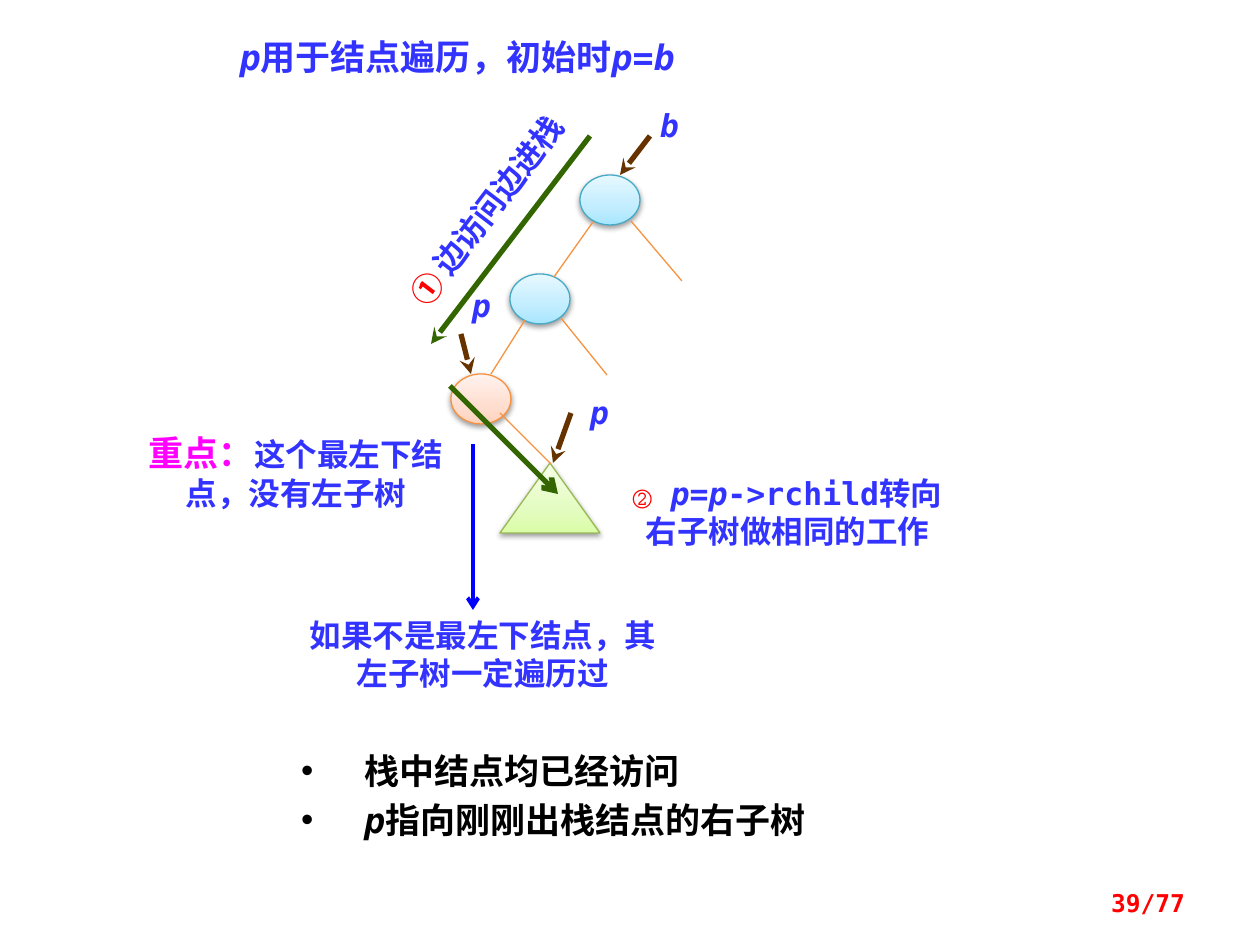
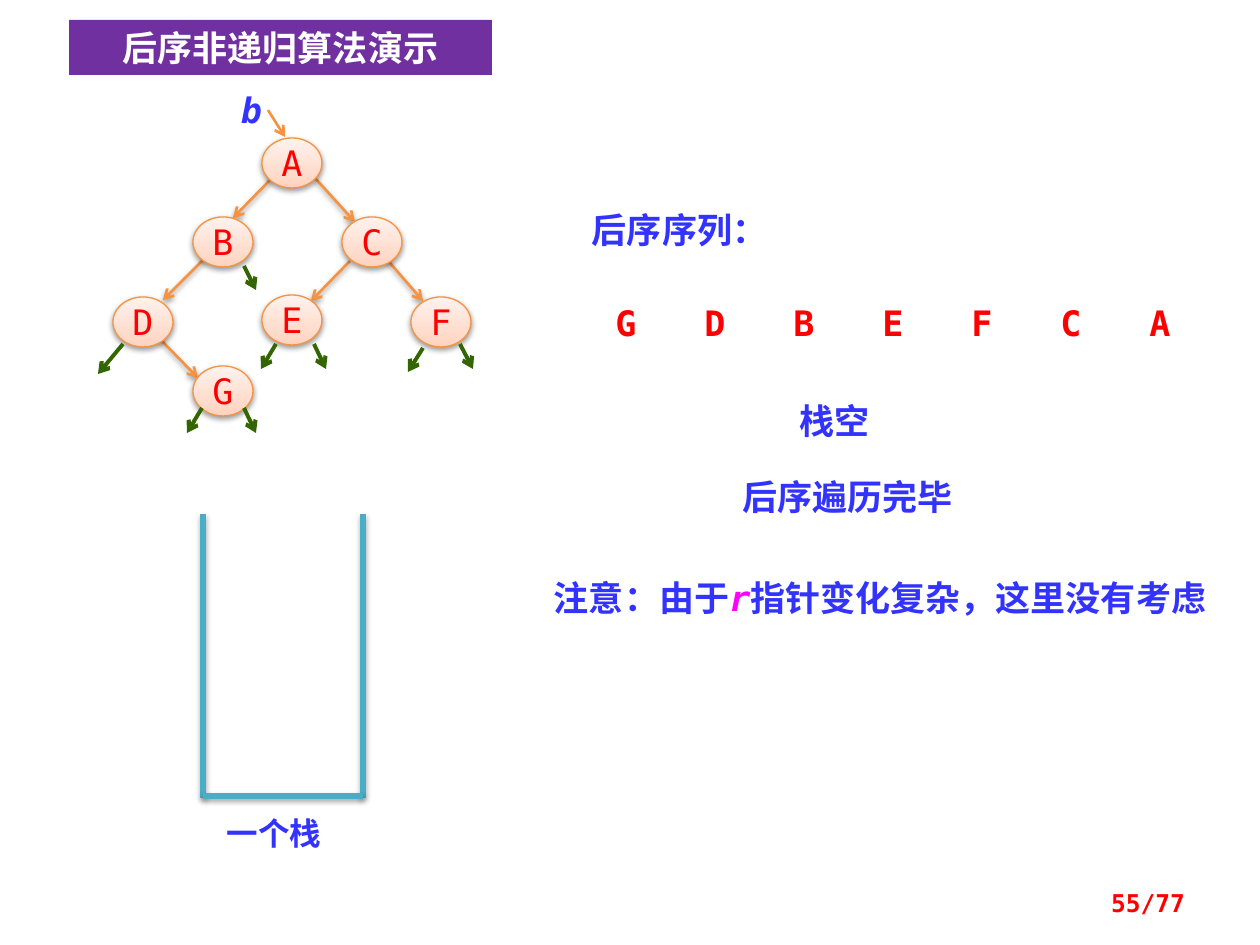
import lxml.etree
import pptx
import pptx.dml.color
import pptx.enum.shapes
import pptx.enum.text
import pptx.oxml.ns
import pptx.util

PX = pptx.util.Inches(1) // 126
MONO, CJK = "DejaVu Sans Mono", "Noto Sans CJK SC"
BLUE, RED, MAGENTA, WHITE, BLACK = "3333FF", "FF0000", "FF00FF", "FFFFFF", "000000"
GREEN, BROWN, ORANGE, TEAL = "336600", "663300", "F69240", "4BACC6"
PEACH = ("FFD2BD", "FFDED0", "FFF2ED")
SKY = ("A7E6FF", "C1EDFF", "E7F8FF")
LIME = ("DAFDA7", "E4FCC2", "F5FFE7")
VARIABLES = ("p", "b", "r")
ACCENTS = {"重点：": (MAGENTA, 20), "① ": (RED, 18), "② ": (RED, 18), "r": (MAGENTA, 20)}

ALIGN = pptx.enum.text.PP_ALIGN
ANCHOR = pptx.enum.text.MSO_ANCHOR
SHAPE = pptx.enum.shapes.MSO_SHAPE
STRAIGHT = pptx.enum.shapes.MSO_CONNECTOR.STRAIGHT
color = pptx.dml.color.RGBColor.from_string
qn = pptx.oxml.ns.qn


def write(paragraph, pieces, size, hex_color, align=ALIGN.CENTER, bold=True):
    """Fill a paragraph; variable names turn italic and accents get their own colour."""
    paragraph.alignment = align
    paragraph.space_before = pptx.util.Pt(0)
    font = paragraph.font
    font.name, font.size, font.bold = MONO, pptx.util.Pt(size), bold
    font.color.rgb = color(hex_color)
    lxml.etree.SubElement(font._element, qn("a:ea"), typeface=CJK)
    for piece in pieces:
        run = paragraph.add_run()
        run.text = piece
        if piece in VARIABLES:
            run.font.italic = True
        if piece in ACCENTS:
            accent_color, accent_size = ACCENTS[piece]
            run.font.color.rgb = color(accent_color)
            run.font.size = pptx.util.Pt(accent_size)


def draw_line(slide, ends, hex_color, width, arrow=None):
    connector = slide.shapes.add_connector(STRAIGHT, *[value * PX for value in ends])
    connector.line.color.rgb = color(hex_color)
    connector.line.width = pptx.util.Pt(width)
    properties = connector._element.spPr
    if arrow:
        lxml.etree.SubElement(properties.find(qn("a:ln")), qn("a:tailEnd"), type=arrow)
    lxml.etree.SubElement(properties, qn("a:effectLst"))
    return connector


presentation = pptx.Presentation()
presentation.slide_width, presentation.slide_height = 1260 * PX, 945 * PX
stack_slide = presentation.slides.add_slide(presentation.slide_layouts[1])
demo_slide = presentation.slides.add_slide(presentation.slide_layouts[5])
shadowed = []

# Titles
for slide, box, pieces, hex_color, align in (
    (stack_slide, (227, 29, 566, 55), ("p", "用于结点遍历，初始时", "p", "=", "b"), BLUE, ALIGN.LEFT),
    (demo_slide, (69, 20, 423, 55), ("后序非递归算法演示",), WHITE, ALIGN.CENTER),
):
    title = slide.shapes.title
    title.left, title.top, title.width, title.height = [value * PX for value in box]
    title.text_frame.auto_size = pptx.enum.text.MSO_AUTO_SIZE.NONE
    title.text_frame.vertical_anchor = ANCHOR.TOP
    write(title.text_frame.paragraphs[0], pieces, 20, hex_color, align)
demo_slide.shapes.title.fill.solid()
demo_slide.shapes.title.fill.fore_color.rgb = color("7030A0")

# List of stack facts
body = stack_slide.placeholders[1]
body.left, body.top, body.width, body.height = [value * PX for value in (276, 728, 610, 129)]
body.fill.solid()
body.fill.fore_color.rgb = color(WHITE)
frame = body.text_frame
frame.auto_size = pptx.enum.text.MSO_AUTO_SIZE.NONE
frame.margin_left, frame.margin_right = 25 * PX, 13 * PX
frame.margin_top = frame.margin_bottom = 15 * PX
for index, pieces in enumerate((("栈中结点均已经访问",), ("p", "指向刚刚出栈结点的右子树"))):
    paragraph = frame.add_paragraph() if index else frame.paragraphs[0]
    paragraph.line_spacing = pptx.util.Pt(28)
    properties = paragraph._p.get_or_add_pPr()
    properties.set("marL", str(63 * PX))
    properties.set("indent", str(-63 * PX))
    lxml.etree.SubElement(properties, qn("a:buChar"), char="•")
    write(paragraph, pieces, 20, BLACK, ALIGN.LEFT)

# Links between the nodes of the demo tree lie behind them
for ends in (
    (159, 338, 198, 378), (272, 178, 233, 218), (315, 178, 355, 222),
    (207, 256, 163, 300), (350, 261, 311, 301), (384, 256, 423, 301),
):
    shadowed.append(draw_line(demo_slide, ends, ORANGE, 1.5, "arrow"))

# Tree nodes
for slide, kind, box, stops, outline, letter in (
    (stack_slide, SHAPE.OVAL, (580, 175, 60, 50), SKY, "46AAC5", ""),
    (stack_slide, SHAPE.OVAL, (510, 274, 60, 50), SKY, "46AAC5", ""),
    (stack_slide, SHAPE.OVAL, (451, 374, 60, 50), PEACH, ORANGE, ""),
    (stack_slide, SHAPE.ISOSCELES_TRIANGLE, (500, 463, 100, 70), LIME, "98B955", ""),
    (demo_slide, SHAPE.OVAL, (262, 138, 60, 50), PEACH, ORANGE, "A"),
    (demo_slide, SHAPE.OVAL, (193, 217, 60, 50), PEACH, ORANGE, "B"),
    (demo_slide, SHAPE.OVAL, (342, 217, 60, 50), PEACH, ORANGE, "C"),
    (demo_slide, SHAPE.OVAL, (113, 297, 60, 50), PEACH, ORANGE, "D"),
    (demo_slide, SHAPE.OVAL, (262, 295, 60, 50), PEACH, ORANGE, "E"),
    (demo_slide, SHAPE.OVAL, (411, 297, 60, 50), PEACH, ORANGE, "F"),
    (demo_slide, SHAPE.OVAL, (193, 366, 60, 50), PEACH, ORANGE, "G"),
):
    node = slide.shapes.add_shape(kind, *[value * PX for value in box])
    node.fill.gradient()
    node.fill.gradient_angle = 90
    stop_list = node._element.spPr.find(qn("a:gradFill")).find(qn("a:gsLst"))
    for stop in list(stop_list):
        stop_list.remove(stop)
    for position, stop_color in zip((0, 35000, 100000), stops):
        stop = lxml.etree.SubElement(stop_list, qn("a:gs"), pos=str(position))
        lxml.etree.SubElement(stop, qn("a:srgbClr"), val=stop_color)
    node.line.color.rgb = color(outline)
    node.line.width = pptx.util.Pt(0.75)
    node.shadow.inherit = False
    shadowed.append(node)
    if letter:
        node.text_frame.word_wrap = False
        node.text_frame.vertical_anchor = ANCHOR.MIDDLE
        write(node.text_frame.paragraphs[0], (letter,), 20, RED, bold=False)

# Branches and pointers of the stack slide
for ends in (
    (593, 222, 554, 277), (525, 320, 491, 374), (631, 221, 682, 281),
    (500, 413, 551, 464), (561, 318, 607, 375),
):
    draw_line(stack_slide, ends, ORANGE, 0.75)
for ends in ((650, 136, 620, 175), (461, 334, 471, 374), (571, 413, 553, 463)):
    draw_line(stack_slide, ends, BROWN, 3, "stealth")
draw_line(stack_slide, (590, 136, 431, 344), GREEN, 3, "stealth")
draw_line(stack_slide, (450, 386, 558, 494), GREEN, 3, "arrow")
draw_line(stack_slide, (473, 444, 473, 610), "0000FF", 2.25, "arrow")

# Empty subtrees, root pointer and stack of the demo slide
for ends in (
    (244, 408, 256, 433), (202, 408, 187, 433), (314, 344, 326, 369), (276, 344, 261, 369),
    (460, 344, 473, 369), (423, 348, 408, 372), (123, 344, 98, 374), (244, 266, 256, 290),
):
    draw_line(demo_slide, ends, GREEN, 2.25, "arrow")
draw_line(demo_slide, (268, 110, 285, 137), ORANGE, 1.5, "arrow")
for ends in ((203, 514, 203, 798), (363, 514, 363, 798), (203, 796, 363, 796)):
    shadowed.append(draw_line(demo_slide, ends, TEAL, 3))

# Labels: slide, box, pieces, size, colour, alignment, side margin, rotation
labels = [
    (stack_slide, (650, 106, 39, 38), ("b",), 18, BLUE, ALIGN.CENTER, 0, 0),
    (stack_slide, (462, 286, 39, 38), ("p",), 18, BLUE, ALIGN.CENTER, 0, 0),
    (stack_slide, (580, 393, 39, 38), ("p",), 18, BLUE, ALIGN.CENTER, 0, 0),
    (stack_slide, (137, 432, 318, 81), ("重点：", "这个最左下结点，没有左子树"),
     18, BLUE, ALIGN.CENTER, 0, 0),
    (stack_slide, (315, 185, 343, 50), ("① ", "边访问边进栈"), 18, BLUE, ALIGN.CENTER, 12, 307.4),
    (stack_slide, (620, 474, 335, 77), ("② ", "p", "=", "p", "->rchild转向右子树做相同的工作"),
     18, BLUE, ALIGN.CENTER, 0, 0),
    (stack_slide, (286, 610, 394, 89), ("如果不是最左下结点，其左子树一定遍历过",),
     18, BLUE, ALIGN.CENTER, 12, 0),
    (demo_slide, (215, 808, 159, 50), ("一个栈",), 18, BLUE, ALIGN.LEFT, 12, 0),
    (demo_slide, (580, 202, 238, 55), ("后序序列：",), 20, BLUE, ALIGN.LEFT, 12, 0),
    (demo_slide, (659, 469, 377, 55), ("后序遍历完毕",), 20, BLUE, ALIGN.CENTER, 12, 0),
    (demo_slide, (227, 88, 49, 43), ("b",), 20, BLUE, ALIGN.CENTER, 0, 0),
    (demo_slide, (788, 393, 129, 55), ("栈空",), 20, BLUE, ALIGN.LEFT, 12, 0),
    (demo_slide, (542, 571, 679, 55), ("注意：由于", "r", "指针变化复杂，这里没有考虑"),
     20, BLUE, ALIGN.LEFT, 12, 0),
]
for index, letter in enumerate("GDBEFCA"):
    box = (596 + 89 * index, 301, 60, 43)
    labels.append((demo_slide, box, (letter,), 20, RED, ALIGN.CENTER, 0, 0))
for slide, page in ((stack_slide, "39/77"), (demo_slide, "55/77")):
    labels.append((slide, (903, 882, 294, 38), (page,), 14, RED, ALIGN.RIGHT, 12, 0))

for slide, box, pieces, size, hex_color, align, margin, rotation in labels:
    label = slide.shapes.add_textbox(*[value * PX for value in box])
    label.rotation = rotation
    frame = label.text_frame
    frame.word_wrap = True
    frame.margin_left = frame.margin_right = margin * PX
    frame.margin_top = frame.margin_bottom = margin // 2 * PX
    write(frame.paragraphs[0], pieces, size, hex_color, align)

# Soft shadow below nodes, links and stack
for shape in shadowed:
    shadow = lxml.etree.SubElement(
        shape._element.spPr.find(qn("a:effectLst")), qn("a:outerShdw"),
        blurRad="40000", dist="20000", dir="5400000", rotWithShape="0",
    )
    shadow_color = lxml.etree.SubElement(shadow, qn("a:srgbClr"), val=BLACK)
    lxml.etree.SubElement(shadow_color, qn("a:alpha"), val="38000")

presentation.save("out.pptx")
